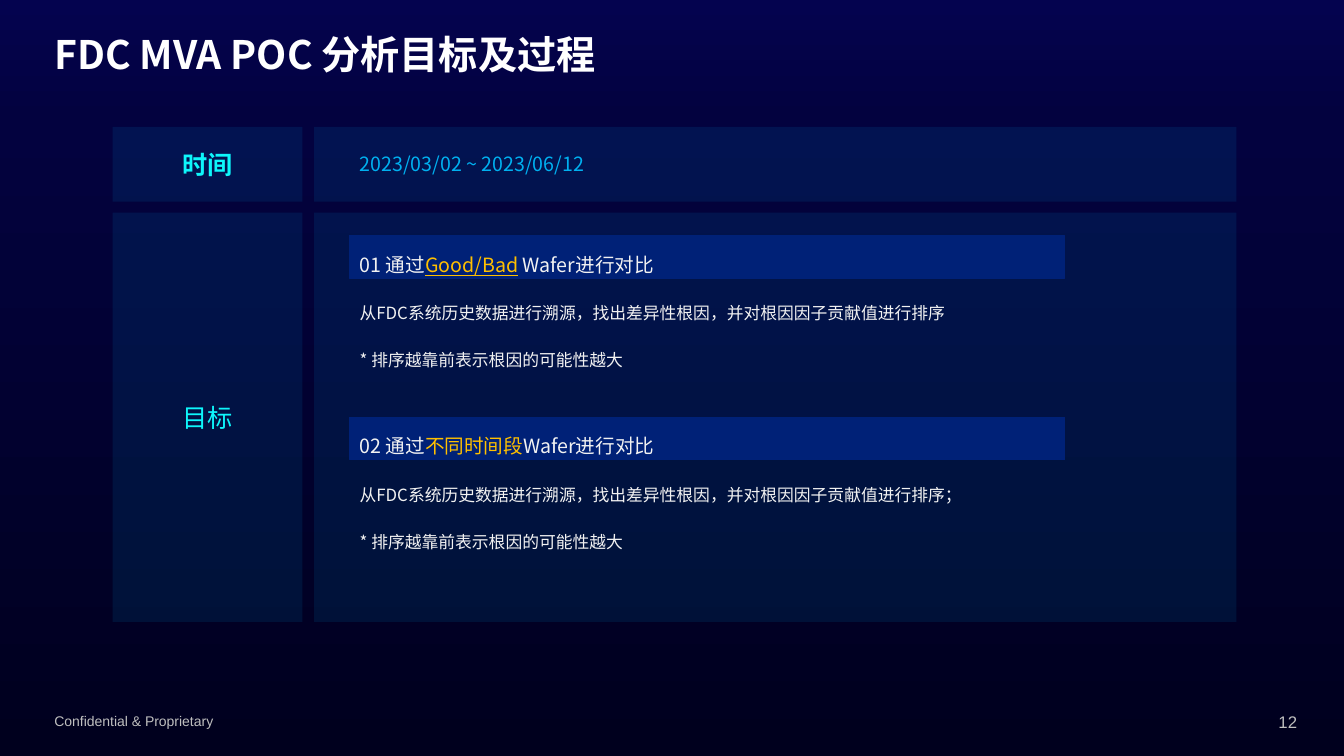
from copy import deepcopy

from lxml import etree
from pptx import Presentation
from pptx.dml.color import RGBColor
from pptx.enum import shapes, text
from pptx.oxml import ns
from pptx.util import Cm, Pt

WHITE = RGBColor(0xFF, 0xFF, 0xFF)
PALE = RGBColor(0xF2, 0xF2, 0xF2)
GREY = RGBColor(0xBF, 0xBF, 0xBF)
SKY = RGBColor(0x00, 0xB0, 0xF0)
CYAN = RGBColor(0x0E, 0xF6, 0xFB)
GOLD = RGBColor(0xFF, 0xC0, 0x00)
BLUE = RGBColor(0x00, 0x21, 0x77)
NIGHT = [(0, RGBColor(0x04, 0x03, 0x4F)), (0.16, RGBColor(0x03, 0x02, 0x3F)),
         (1, RGBColor(0x00, 0x00, 0x1E))]
CJK = "Noto Sans CJK SC"

LABEL_LEFT, LABEL_WIDTH = Cm(2.84), Cm(4.78)
DETAIL_LEFT, DETAIL_WIDTH = Cm(7.92), Cm(23.24)
CONTENT_LEFT, CONTENT_WIDTH = Cm(8.81), Cm(18.03)
ROWS = [("时间", Cm(3.2), Cm(1.88), True), ("目标", Cm(5.36), Cm(10.31), False)]
FIRST_GOAL, GOAL_STEP = Cm(5.94), Cm(4.58)
GOALS = [
    ("01 通过", "Good/Bad", " Wafer进行对比", True, Cm(2.13),
     "从FDC系统历史数据进行溯源，找出差异性根因，并对根因因子贡献值进行排序"),
    ("02 通过", "不同时间段", "Wafer进行对比", False, Cm(2.92),
     "从FDC系统历史数据进行溯源，找出差异性根因，并对根因因子贡献值进行排序；"),
]
RANKING_NOTE = "* 排序越靠前表示根因的可能性越大"


def paint_background(slide):
    fill = slide.background.fill
    fill.gradient()
    fill.gradient_angle = 270
    stops = slide.element.find(".//" + ns.qn("a:gsLst"))
    stops.append(deepcopy(stops[-1]))
    for stop, (position, color) in zip(fill.gradient_stops, NIGHT):
        stop.position = position
        stop.color.rgb = color


def style(paragraph, size, color, face=CJK, bold=False, align=text.PP_ALIGN.LEFT):
    paragraph.alignment = align
    font = paragraph.font
    font.size, font.name, font.bold = Pt(size), face, bold
    font.color.rgb = color
    latin = paragraph._p.pPr.find(ns.qn("a:defRPr")).find(ns.qn("a:latin"))
    east_asian = etree.Element(ns.qn("a:ea"), typeface=face)
    latin.addnext(east_asian)


def space_out(paragraph):
    paragraph.line_spacing = 1.5
    paragraph.space_after = Pt(12)


def place(shape, left, top, width, height):
    shape.left, shape.top, shape.width, shape.height = left, top, width, height


def add_panel(slide, left, top, width, height):
    """Add a faint, see-through rectangle."""
    panel = slide.shapes.add_shape(shapes.MSO_SHAPE.RECTANGLE, left, top, width, height)
    panel.shadow.inherit = False
    panel.fill.solid()
    panel.fill.fore_color.rgb = SKY
    panel.line.fill.background()
    color = panel.element.spPr.find(ns.qn("a:solidFill"))[0]
    etree.SubElement(color, ns.qn("a:alpha"), val="10000")
    return panel


def add_label(slide, words, top, height, bold):
    label = add_panel(slide, LABEL_LEFT, top, LABEL_WIDTH, height)
    label.text_frame.text = words
    label.text_frame.vertical_anchor = text.MSO_ANCHOR.MIDDLE
    style(label.text_frame.paragraphs[0], 18, CYAN, bold=bold, align=text.PP_ALIGN.CENTER)


def add_caption(slide, words, box, size, color, **options):
    frame = slide.shapes.add_textbox(*box).text_frame
    frame.word_wrap = True
    frame.text = words
    style(frame.paragraphs[0], size, color, **options)


def add_goal_heading(slide, top, lead, emphasis, rest, underlined):
    bar = slide.shapes.add_shape(shapes.MSO_SHAPE.RECTANGLE, CONTENT_LEFT, top,
                                 CONTENT_WIDTH, Cm(1.07))
    bar.shadow.inherit = False
    bar.fill.solid()
    bar.fill.fore_color.rgb = BLUE
    bar.line.color.rgb = BLUE
    bar.line.width = Pt(0.75)
    bar.text_frame.vertical_anchor = text.MSO_ANCHOR.TOP
    heading = bar.text_frame.paragraphs[0]
    space_out(heading)
    style(heading, 14, PALE, align=text.PP_ALIGN.JUSTIFY)
    for words in (lead, emphasis, rest):
        run = heading.add_run()
        run.text = words
        if words == emphasis:
            run.font.color.rgb = GOLD
            if underlined:
                run.font.underline = True


def fill_goal_body(body, top, height, description):
    place(body, CONTENT_LEFT, top, CONTENT_WIDTH, height)
    frame = body.text_frame
    frame.text = description + "\n" + RANKING_NOTE
    frame.auto_size = text.MSO_AUTO_SIZE.SHAPE_TO_FIT_TEXT
    for paragraph in frame.paragraphs:
        properties = paragraph._p.get_or_add_pPr()
        properties.set("marL", "0")
        properties.set("indent", "0")
        etree.SubElement(properties, ns.qn("a:buNone"))
        space_out(paragraph)
        paragraph.space_before = Pt(0)
        style(paragraph, 12, PALE, align=text.PP_ALIGN.JUSTIFY)


def fill_title(title):
    place(title, Cm(1.12), Cm(0.76), Cm(25.6), Cm(1.35))
    title.text_frame.text = "FDC MVA POC 分析目标及过程"
    title.text_frame.auto_size = text.MSO_AUTO_SIZE.NONE
    title.text_frame.vertical_anchor = text.MSO_ANCHOR.MIDDLE
    heading = title.text_frame.paragraphs[0]
    heading.line_spacing = 0.9
    style(heading, 28, WHITE, bold=True)


def main():
    deck = Presentation()
    deck.slide_width, deck.slide_height = Cm(33.87), Cm(19.05)
    slide = deck.slides.add_slide(deck.slide_layouts.get_by_name("Two Content"))
    paint_background(slide)
    fill_title(slide.shapes.title)

    for words, top, height, bold in ROWS:
        add_label(slide, words, top, height, bold)
        add_panel(slide, DETAIL_LEFT, top, DETAIL_WIDTH, height)
    add_caption(slide, "2023/03/02 ~ 2023/06/12",
                (CONTENT_LEFT, Cm(3.71), Cm(7.37), Cm(0.86)), 14, SKY)

    bodies = list(slide.placeholders)[1:]
    for index, (body, goal) in enumerate(zip(bodies, GOALS)):
        *heading, height, description = goal
        top = FIRST_GOAL + index * GOAL_STEP
        add_goal_heading(slide, top, *heading)
        fill_goal_body(body, top + Cm(1.31), height, description)
        slide.shapes._spTree.append(body.element)

    add_caption(slide, "Confidential & Proprietary",
                (Cm(1.12), Cm(17.83), Cm(11.43), Cm(0.69)), 10, GREY, face="Arial")
    add_caption(slide, "12", (Cm(31.67), Cm(17.81), Cm(1.27), Cm(0.76)), 12, GREY,
                face="Arial", align=text.PP_ALIGN.RIGHT)
    deck.save("out.pptx")


if __name__ == "__main__":
    main()
